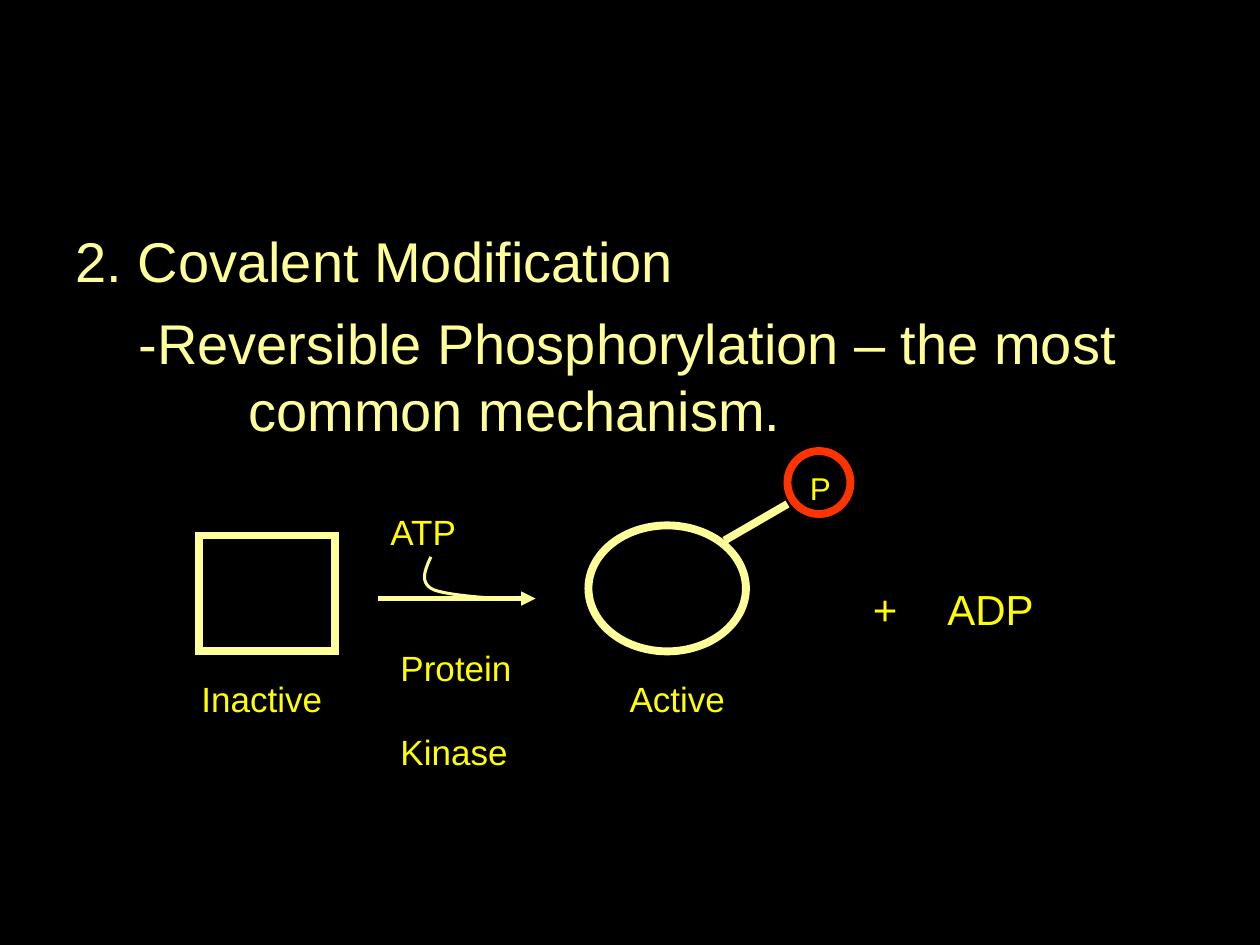
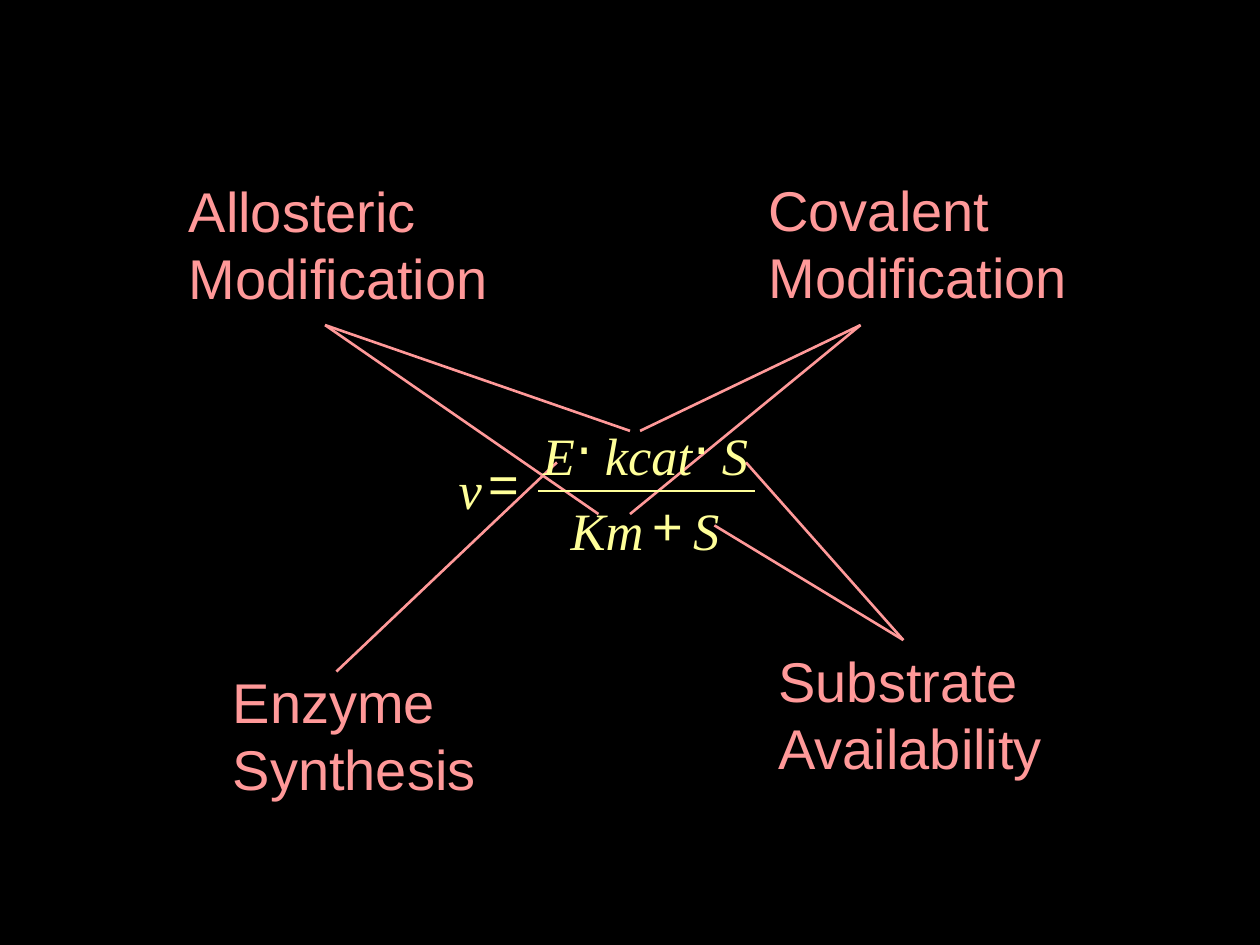
from lxml.etree import SubElement
from pptx import Presentation
from pptx.dml.color import RGBColor
from pptx.enum.shapes import MSO_CONNECTOR as Connector, MSO_SHAPE as Shape
from pptx.enum.text import MSO_ANCHOR as Anchor, MSO_AUTO_SIZE as AutoSize, PP_ALIGN as Align
from pptx.oxml.ns import qn
from pptx.util import Inches, Pt

# Shared look
BLACK, CREAM, YELLOW, RED, PINK = "000000", "FFFF99", "FFFF00", "FF3300", "FF9999"
SANS, SERIF = "Arial", "Times New Roman"

# Slide 1: (text, left margin, first-line indent)
OUTLINE = [
    ("2. Covalent Modification", 0.38, -0.38),
    ("-Reversible Phosphorylation – the most common mechanism.", 1.37, -0.87),
]
# (shape, left, top, width, height, line colour)
MOLECULES = [
    (Shape.RECTANGLE, 1.58, 4.25, 1.08, 0.92, CREAM),
    (Shape.OVAL, 4.67, 4.17, 1.25, 1, CREAM),
    (Shape.OVAL, 6.25, 3.58, 0.5, 0.5, RED),
]
# (lines, left, top, width, height, size, alignment)
LABELS = [
    (["P"], 6.33, 3.67, 0.33, 0.4, 18, Align.LEFT),
    (["+"], 6.83, 4.58, 0.67, 0.5, 24, Align.LEFT),
    (["ADP"], 7.42, 4.58, 1.42, 0.5, 24, Align.LEFT),
    (["Active"], 4.75, 5.33, 1.25, 0.44, 20, Align.CENTER),
    (["Protein", "Kinase"], 3.08, 5.08, 1.08, 1.1, 20, Align.LEFT),
    (["ATP"], 3, 4, 1.08, 0.44, 20, Align.LEFT),
    (["Inactive"], 1.5, 5.33, 1.42, 0.77, 20, Align.LEFT),
]
KINASE_GAP = 24
# Bezier pieces of the ATP curve: four control points each
ATP_CURVE = [
    [(3.42, 4.42), (3.38, 4.51), (3.33, 4.61), (3.42, 4.67)],
    [(3.42, 4.67), (3.5, 4.72), (3.82, 4.74), (3.92, 4.75)],
]
CURVE_STEPS = 12

# Slide 2: (lines, left, top, width, common start of the rays, ray ends)
FACTORS = [
    (["Covalent", "Modification"], 6, 1.34, 2.65, (6.83, 2.58), [(5.08, 3.42), (5, 4.08)]),
    (["Allosteric", "Modification"], 1.4, 1.35, 2.65, (2.58, 2.58), [(4.75, 4.08), (5, 3.42)]),
    (["Enzyme", "Synthesis"], 1.75, 5.25, 2.2, (2.67, 5.33), [(4.42, 3.67)]),
    (["Substrate", "Availability"], 6.08, 5.08, 2.35, (7.17, 5.08), [(5.92, 3.67), (5.67, 4.17)]),
]
# (text, left, top, width)
VARIABLES = [
    ("S", 5.5, 3.95, 0.22), ("Km", 4.53, 3.95, 0.6), ("S", 5.73, 3.36, 0.22),
    ("kcat", 4.8, 3.36, 0.75), ("E", 4.31, 3.36, 0.27), ("v", 3.64, 3.63, 0.2),
]
OPERATORS = [
    ("+", 5.18, 3.91, 0.25), ("⋅", 5.5, 3.31, 0.25),
    ("⋅", 4.57, 3.31, 0.25), ("=", 3.88, 3.58, 0.33),
]


def color(value):
    return RGBColor.from_string(value)


def add_span(para, text, size, ink, font=SANS, italic=False):
    span = para.add_run()
    span.text = text
    span.font.size, span.font.name = Pt(size), font
    span.font.italic = italic
    span.font.color.rgb = color(ink)


def add_text(shapes, lines, left, top, width, height, size, ink, font=SANS,
             italic=False, align=Align.LEFT, wrap=True, inset=True, gap=0):
    box = shapes.add_textbox(*map(Inches, (left, top, width, height)))
    frame = box.text_frame
    frame.word_wrap = wrap
    frame.auto_size = AutoSize.SHAPE_TO_FIT_TEXT
    if not inset:
        frame.margin_left = frame.margin_top = frame.margin_right = frame.margin_bottom = 0
    for index, line in enumerate(lines):
        para = frame.add_paragraph() if index else frame.paragraphs[0]
        para.alignment = align
        para.space_before = Pt(gap if index else 0)
        add_span(para, line, size, ink, font, italic)


def add_line(shapes, start, end, ink, width, arrow=False):
    line = shapes.add_connector(Connector.STRAIGHT, *map(Inches, (*start, *end)))
    line.line.color.rgb = color(ink)
    line.line.width = Pt(width)
    if arrow:
        SubElement(line.line._get_or_add_ln(), qn("a:tailEnd"), type="triangle")
    SubElement(line._element.spPr, qn("a:effectLst"))


def outline_only(shape, ink, width):
    shape.shadow.inherit = False
    shape.fill.background()
    shape.line.color.rgb = color(ink)
    shape.line.width = Pt(width)
    # Sharp corners
    SubElement(shape.line._get_or_add_ln(), qn("a:miter"), lim="800000")


def bezier_point(controls, t):
    weights = ((1 - t) ** 3, 3 * t * (1 - t) ** 2, 3 * t ** 2 * (1 - t), t ** 3)
    return tuple(Inches(sum(w * point[axis] for w, point in zip(weights, controls)))
                 for axis in (0, 1))


def add_outline(page):
    body = page.placeholders[1]
    body.left, body.top, body.width, body.height = map(Inches, (0.5, 1.75, 9, 4.95))
    frame = body.text_frame
    frame.vertical_anchor = Anchor.TOP
    frame.auto_size = AutoSize.NONE
    for index, (text, margin, indent) in enumerate(OUTLINE):
        para = frame.add_paragraph() if index else frame.paragraphs[0]
        para.space_before = Pt(8)
        props = para._p.get_or_add_pPr()
        props.set("marL", str(Inches(margin)))
        props.set("indent", str(Inches(indent)))
        SubElement(props, qn("a:buNone"))
        add_span(para, text, 32, CREAM)


def build_phosphorylation(deck):
    page = deck.slides.add_slide(deck.slide_layouts[1])
    title = page.shapes.title._element
    title.getparent().remove(title)
    add_outline(page)

    # Enzyme states, phosphate and reaction arrow
    for kind, left, top, width, height, ink in MOLECULES:
        molecule = page.shapes.add_shape(kind, *map(Inches, (left, top, width, height)))
        outline_only(molecule, ink, 4.5)
    add_line(page.shapes, (3, 4.75), (4.25, 4.75), CREAM, 2.75, arrow=True)
    add_line(page.shapes, (5.75, 4.29), (6.25, 4), CREAM, 4.5)

    # ATP joining the reaction
    points = [bezier_point(piece, step / CURVE_STEPS)
              for piece in ATP_CURVE for step in range(CURVE_STEPS + 1)]
    builder = page.shapes.build_freeform(*points[0])
    builder.add_line_segments(points[1:], close=False)
    outline_only(builder.convert_to_shape(), CREAM, 1.75)

    for lines, left, top, width, height, size, align in LABELS:
        add_text(page.shapes, lines, left, top, width, height, size, YELLOW,
                 align=align, gap=KINASE_GAP)


def build_rate_equation(deck):
    page = deck.slides.add_slide(deck.slide_layouts[6])

    # Factors, each with rays to the terms it changes
    for lines, left, top, width, start, ends in FACTORS:
        group = page.shapes.add_group_shape().shapes
        add_text(group, lines, left, top, width, 1.17, 32, PINK, wrap=False)
        for end in ends:
            add_line(group, start, end, PINK, 1.5)

    # Equation
    equation = page.shapes.add_group_shape().shapes
    add_line(equation, (4.27, 3.9), (5.99, 3.9), CREAM, 1.25)
    for terms, font, italic in ((VARIABLES, SERIF, True), (OPERATORS, SANS, False)):
        for text, left, top, width in terms:
            add_text(equation, [text], left, top, width, 0.5, 30, CREAM, font, italic,
                     wrap=False, inset=False)


def main():
    deck = Presentation()
    deck.slide_width, deck.slide_height = Inches(10), Inches(7.5)
    backdrop = deck.slide_master.background.fill
    backdrop.solid()
    backdrop.fore_color.rgb = color(BLACK)
    build_phosphorylation(deck)
    build_rate_equation(deck)
    deck.save("out.pptx")


if __name__ == "__main__":
    main()
